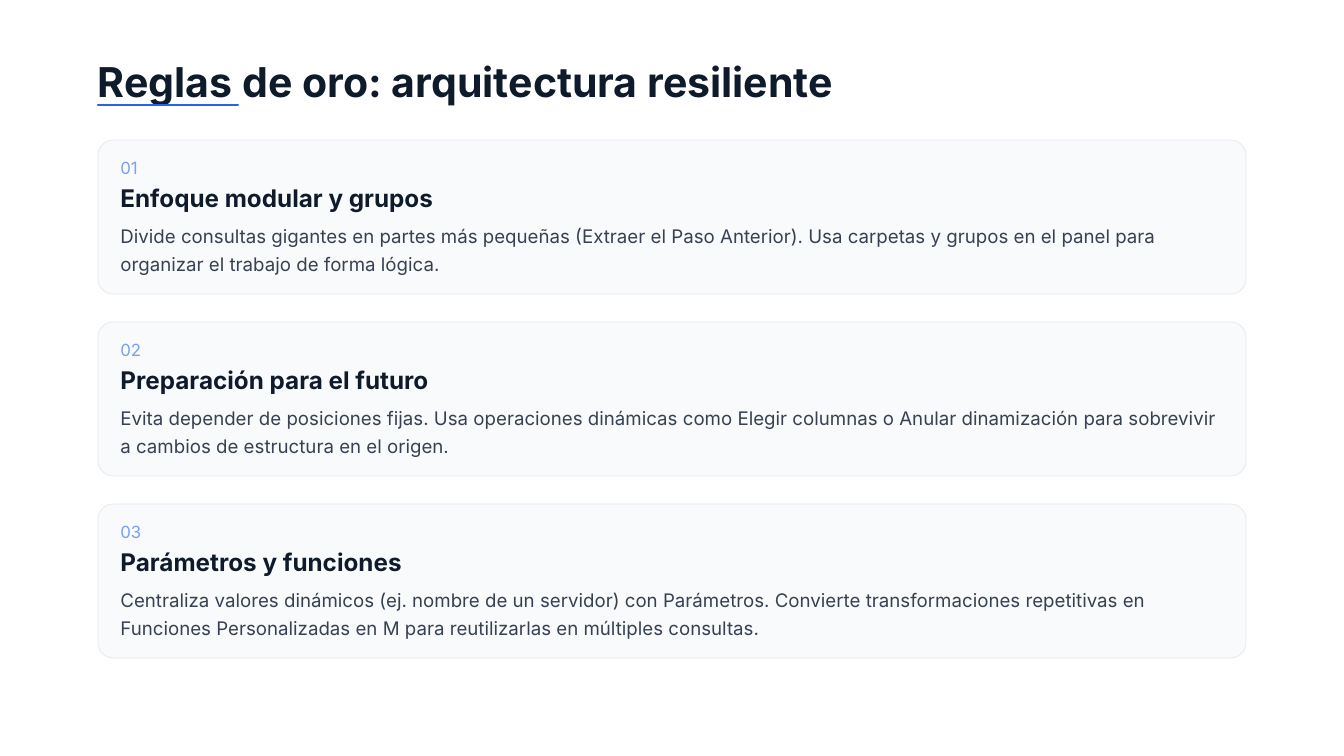
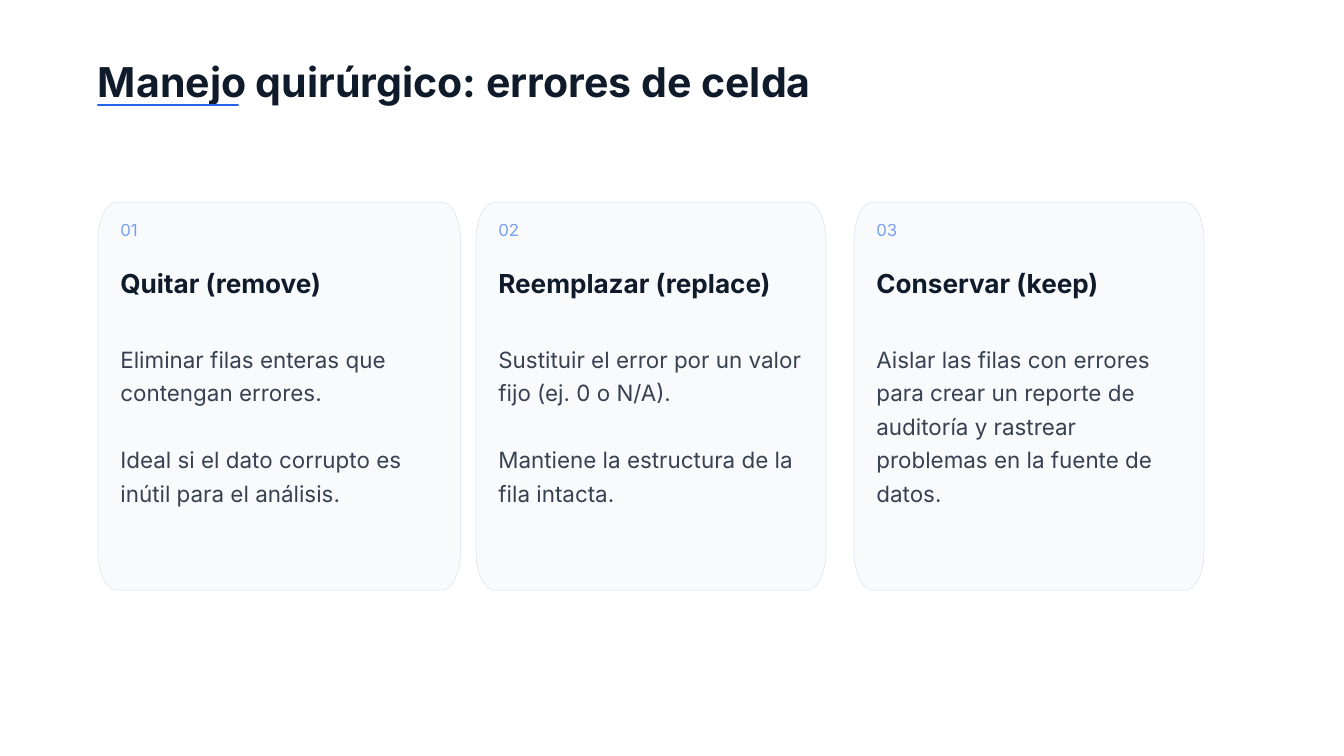
from dataclasses import dataclass

from lxml.etree import SubElement
from pptx import Presentation
from pptx.dml.color import RGBColor
from pptx.enum.shapes import MSO_CONNECTOR
from pptx.enum.text import MSO_AUTO_SIZE
from pptx.oxml.ns import qn
from pptx.shapes.autoshape import Shape
from pptx.slide import Slide
from pptx.util import Inches, Pt

# Grid of 96 columns by 54 rows, with square cells
SLIDE_WIDTH, SLIDE_HEIGHT = Inches(20), Inches(11.25)
CELL = SLIDE_WIDTH / 96
MARGIN, CONTENT_WIDTH = 7, 82
CARD_PADDING = 1.6
ARC_PULL = 0.55  # share of the way to the corner for a quarter ellipse

# Shared colours
INK, TEXT, ACCENT = "0F1A2B", "374151", "2563EB"
CARD_FILL, CARD_LINE = "F8FAFC", "E2E8F0"


@dataclass(frozen=True)
class TextStyle:
    size: float
    leading: float
    colour: str
    bold: bool = False
    opacity: int = 100


@dataclass(frozen=True)
class Area:
    left: float
    top: float
    width: float
    height: float


@dataclass(frozen=True)
class Card:
    heading: str
    body: tuple[str, ...]


@dataclass(frozen=True)
class CardLayout:
    """Grid measures of a card; offsets count from the top of the card."""
    first: Area
    step_x: float
    step_y: float
    later_width: float
    corner: tuple[float, float]
    text_width: float
    heading_offset: float
    heading_height: float
    heading_style: TextStyle
    body_offset: float
    body_height: float
    body_style: TextStyle


TITLE_STYLE = TextStyle(44, 52.8, INK, bold=True)
NUMBER_STYLE = TextStyle(18, 25.2, ACCENT, opacity=60)

STACKED = CardLayout(
    first=Area(MARGIN, 10, CONTENT_WIDTH, 11), step_x=0, step_y=13,
    later_width=CONTENT_WIDTH, corner=(1.1, 1.1),
    text_width=CONTENT_WIDTH - 2 * CARD_PADDING,
    heading_offset=2.9, heading_height=2.16,
    heading_style=TextStyle(26, 33.8, INK, bold=True),
    body_offset=5.65, body_height=3.93, body_style=TextStyle(20, 30, TEXT))
SIDE_BY_SIDE = CardLayout(
    first=Area(MARGIN, 14.45, 25.9, 27.7), step_x=27, step_y=0,
    later_width=25, corner=(1.32, 2.76), text_width=21.8,
    heading_offset=4.43, heading_height=2.4,
    heading_style=TextStyle(28, 36.4, INK, bold=True),
    body_offset=9.77, body_height=11.6, body_style=TextStyle(24, 36, TEXT))

RULES = (
    Card("Enfoque modular y grupos", (
        "Divide consultas gigantes en partes más pequeñas (Extraer el Paso "
        "Anterior). Usa carpetas y grupos en el panel para organizar el "
        "trabajo de forma lógica.",)),
    Card("Preparación para el futuro", (
        "Evita depender de posiciones fijas. Usa operaciones dinámicas como "
        "Elegir columnas o Anular dinamización para sobrevivir a cambios de "
        "estructura en el origen.",)),
    Card("Parámetros y funciones", (
        "Centraliza valores dinámicos (ej. nombre de un servidor) con "
        "Parámetros. Convierte transformaciones repetitivas en Funciones "
        "Personalizadas en M para reutilizarlas en múltiples consultas.",)),
)
ERROR_OPTIONS = (
    Card("Quitar (remove)", (
        "Eliminar filas enteras que contengan errores.",
        "Ideal si el dato corrupto es inútil para el análisis.")),
    Card("Reemplazar (replace)", (
        "Sustituir el error por un valor fijo (ej. 0 o N/A).",
        "Mantiene la estructura de la fila intacta.")),
    Card("Conservar (keep)", (
        "Aislar las filas con errores para crear un reporte de auditoría y "
        "rastrear problemas en la fuente de datos.",)),
)


def cells(count: float) -> int:
    return round(count * CELL)


def rgb(colour: str) -> RGBColor:
    return RGBColor.from_string(colour)


def apply_format(target: object, values: dict) -> None:
    for name, value in values.items():
        setattr(target, name, value)


def add_text(page: Slide, area: Area, lines: tuple[str, ...],
             style: TextStyle) -> None:
    box = page.shapes.add_textbox(cells(area.left), cells(area.top),
                                  cells(area.width), cells(area.height))
    frame = box.text_frame
    apply_format(frame, {
        "margin_left": 0, "margin_top": 0, "margin_right": 0,
        "margin_bottom": 0, "word_wrap": True,
        "auto_size": MSO_AUTO_SIZE.SHAPE_TO_FIT_TEXT})
    for index, line in enumerate(lines):
        para = frame.add_paragraph() if index else frame.paragraphs[0]
        para.line_spacing = Pt(style.leading)
        if index:
            para.space_before = Pt(style.leading)
        span = para.add_run()
        span.text = line
        apply_format(span.font, {"name": "Inter", "size": Pt(style.size),
                                 "bold": style.bold})
        span.font.color.rgb = rgb(style.colour)
        if style.opacity < 100:
            tint = next(span.font._element.iter(qn("a:srgbClr")))
            SubElement(tint, qn("a:alpha"), val=str(style.opacity * 1000))


def round_corners(panel: Shape) -> None:
    """Turn every second straight segment of the outline into a curve."""
    segments = list(panel._element.iter(qn("a:lnTo")))
    ends = [(int(segment[0].get("x")), int(segment[0].get("y")))
            for segment in segments]
    for index in range(1, len(segments), 2):
        start, end = ends[index - 1], ends[index]
        leaves_horizontal_edge = index % 4 == 1
        corner = ((end[0], start[1]) if leaves_horizontal_edge
                  else (start[0], end[1]))
        curve = segments[index]
        curve.clear()
        curve.tag = qn("a:cubicBezTo")
        pulled = [tuple(round(a + ARC_PULL * (b - a))
                        for a, b in zip(point, corner))
                  for point in (start, end)]
        for x, y in (*pulled, end):
            SubElement(curve, qn("a:pt"), x=str(x), y=str(y))


def add_panel(page: Slide, area: Area, corner: tuple[float, float]) -> None:
    """Draw a card outline with elliptical corners."""
    radius_x, radius_y = corner
    left, top = area.left, area.top
    right, bottom = left + area.width, top + area.height
    # Straight edges and corners in turn, clockwise from the top edge
    outline = [(cells(x), cells(y)) for x, y in (
        (left + radius_x, top), (right - radius_x, top),
        (right, top + radius_y), (right, bottom - radius_y),
        (right - radius_x, bottom), (left + radius_x, bottom),
        (left, bottom - radius_y), (left, top + radius_y))]
    builder = page.shapes.build_freeform(*outline[0])
    builder.add_line_segments([*outline[1:], outline[0]], close=True)
    panel = builder.convert_to_shape()
    round_corners(panel)
    panel.shadow.inherit = False
    panel.fill.solid()
    panel.fill.fore_color.rgb = rgb(CARD_FILL)
    panel.line.color.rgb = rgb(CARD_LINE)
    panel.line.width = Pt(0.75)


def add_title(page: Slide, title: str) -> None:
    add_text(page, Area(MARGIN, 4, CONTENT_WIDTH, 3.5), (title,), TITLE_STYLE)
    rule = page.shapes.add_connector(MSO_CONNECTOR.STRAIGHT, cells(MARGIN),
                                     cells(7.5), cells(17), cells(7.5))
    rule.line.color.rgb = rgb(ACCENT)
    rule.line.width = Pt(2.25)
    rule.line._ln.set("cap", "rnd")
    SubElement(rule._element.spPr, qn("a:effectLst"))


def add_card(page: Slide, index: int, card: Card, layout: CardLayout) -> None:
    first = layout.first
    left = first.left + index * layout.step_x
    top = first.top + index * layout.step_y
    width = layout.later_width if index else first.width
    add_panel(page, Area(left, top, width, first.height), layout.corner)

    text_left = left + CARD_PADDING
    add_text(page, Area(text_left, top + 1, 3, 1.63),
             (f"{index + 1:02}",), NUMBER_STYLE)
    add_text(page, Area(text_left, top + layout.heading_offset,
                        layout.text_width, layout.heading_height),
             (card.heading,), layout.heading_style)
    add_text(page, Area(text_left, top + layout.body_offset,
                        layout.text_width, layout.body_height),
             card.body, layout.body_style)


def main() -> None:
    deck = Presentation()
    apply_format(deck, {"slide_width": SLIDE_WIDTH,
                        "slide_height": SLIDE_HEIGHT})
    pages = (
        ("Reglas de oro: arquitectura resiliente", RULES, STACKED),
        ("Manejo quirúrgico: errores de celda", ERROR_OPTIONS, SIDE_BY_SIDE),
    )
    for title, cards, layout in pages:
        page = deck.slides.add_slide(deck.slide_layouts[6])
        add_title(page, title)
        for index, card in enumerate(cards):
            add_card(page, index, card, layout)
    deck.save("out.pptx")


if __name__ == "__main__":
    main()
